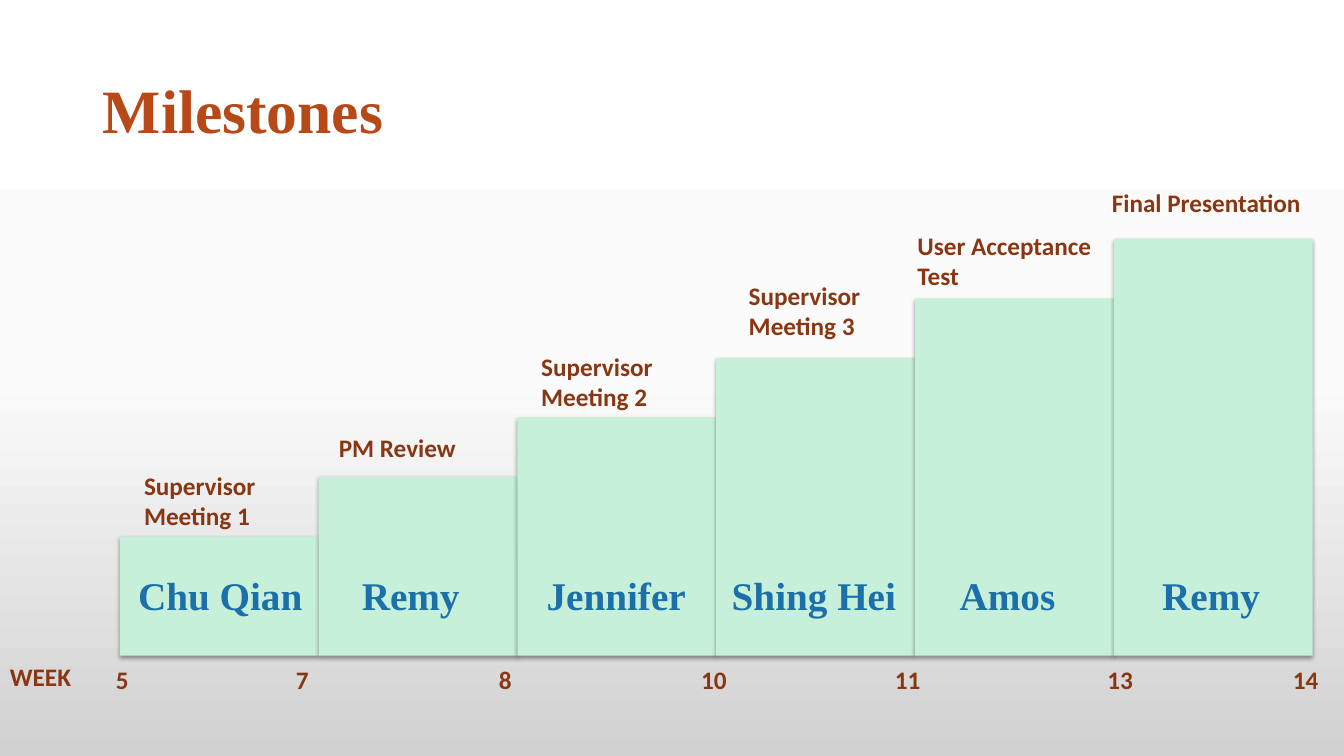
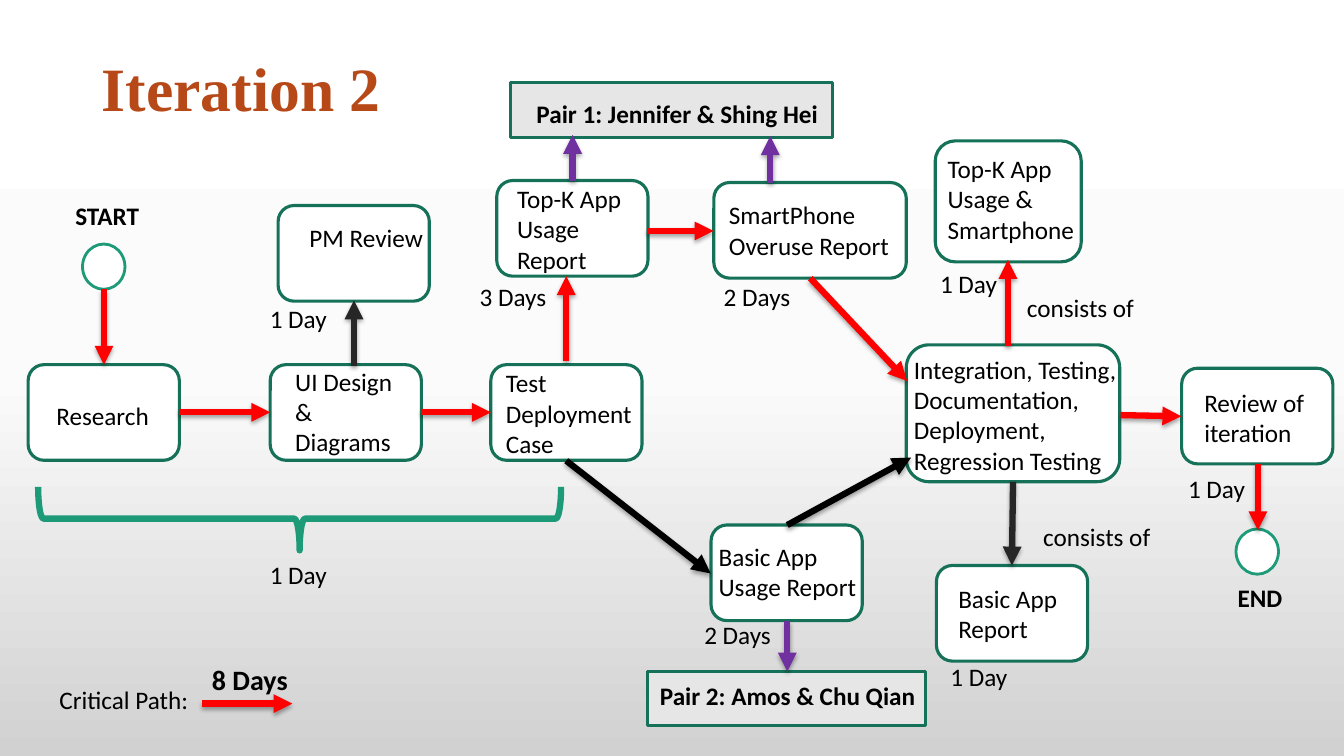
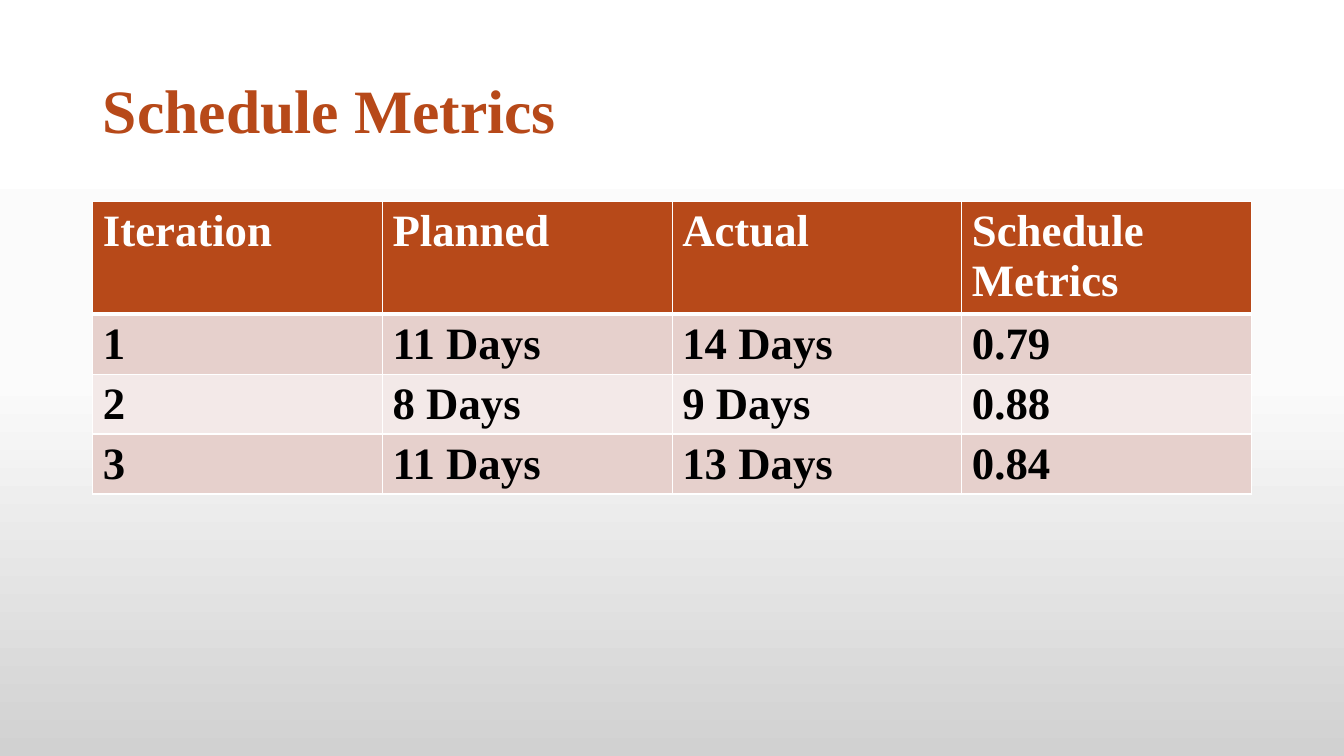
from copy import deepcopy

from lxml import etree
from pptx import Presentation
from pptx.dml.color import RGBColor
from pptx.enum.shapes import MSO_CONNECTOR, MSO_SHAPE
from pptx.enum.text import MSO_ANCHOR, PP_ALIGN
from pptx.oxml.ns import qn
from pptx.util import Cm, Pt

RECT, ROUNDED = MSO_SHAPE.RECTANGLE, MSO_SHAPE.ROUNDED_RECTANGLE
OVAL, BRACE = MSO_SHAPE.OVAL, MSO_SHAPE.RIGHT_BRACE
STRAIGHT = MSO_CONNECTOR.STRAIGHT
LEFT, CENTER, MIDDLE = PP_ALIGN.LEFT, PP_ALIGN.CENTER, MSO_ANCHOR.MIDDLE

SANS, SERIF = "Calibri", "Times New Roman"
COLORS = {
    "title": "B74919", "label": "893713", "name": "1D6FA9", "bar": "C6F0DA",
    "white": "FFFFFF", "black": "000000", "dark": "262626", "red": "FF0000",
    "purple": "7030A0", "outline": "157259", "teal": "1D9A78", "pair": "E7E6E6",
    "odd row": "E6D0CC", "even row": "F3E9E8",
}
BACKGROUND = [(0, "FFFFFF"), (0.5, "FBFBFB"), (1, "D1D1D1")]

# Content; all lengths in cm
# Milestones: event, label left, top, width, lines, person, person's centre
MILESTONES = [
    ("Supervisor\nMeeting 1", 3.38, 11.73, 4.55, 2, "Chu Qian", 5.55),
    ("PM Review", 8.29, 10.77, 3.48, 1, "Remy", 10.35),
    ("Supervisor\nMeeting 2", 13.39, 8.73, 4.62, 2, "Jennifer", 15.53),
    ("Supervisor\nMeeting 3", 18.62, 6.93, 4.62, 2, "Shing Hei", 20.51),
    ("User Acceptance Test", 22.87, 5.67, 5.51, 2, "Amos", 25.39),
    ("Final Presentation", 27.77, 4.6, 5.51, 1, "Remy", 30.52),
]
WEEKS = [("5", 2.67), ("7", 7.21), ("8", 12.32), ("10", 17.42),
         ("11", 22.3), ("13", 27.66), ("14", 32.33)]

# Steps: box (left, top, width, height), text, text left, top, width, lines
STEP_W, STEP_H = 3.81, 2.41
STEPS = [
    ((0.71, 9.19, STEP_W, STEP_H), "Research", 1.17, 9.96, 2.92, 1),
    ((6.81, 9.19, STEP_W, STEP_H), "UI Design & Diagrams", 7.19, 9.1, 3.35, 3),
    ((12.37, 9.19, STEP_W, STEP_H), "Test Deployment Case", 12.5, 9.14, 4.22, 3),
    ((7.01, 5.18, STEP_W, STEP_H), "PM Review", 7.55, 5.47, 3.6, 1),
    ((12.52, 4.55, STEP_W, STEP_H), "Top-K App Usage Report", 12.78, 4.5, 3.51, 3),
    ((17.99, 4.6, 4.85, STEP_H), "SmartPhone Overuse Report", 18.12, 4.91, 4.6, 2),
    ((17.92, 13.23, STEP_W, STEP_H), "Basic App Usage Report", 17.86, 13.51, 4.22, 2),
    ((22.84, 8.69, 5.38, 3.45),
     "Integration, Testing, Documentation, Deployment, Regression Testing",
     22.78, 8.8, 5.69, 4),
    ((23.57, 3.55, 3.68, 3.05), "Top-K App Usage & Smartphone", 23.63, 3.74, 3.71, 3),
    ((23.6, 14.25, STEP_W, STEP_H), "Basic App Report", 23.9, 14.58, 3.51, 2),
    ((29.78, 9.28, STEP_W, STEP_H), "Review of iteration", 30.1, 9.64, 3.51, 2),
]
PAIRS = [
    ((12.86, 2.09, 8.13, 1.37), "Pair 1: Jennifer & Shing Hei", 13.27, 2.35, 7.87),
    ((16.32, 16.92, 7.01, 1.37), "Pair 2: Amos & Chu Qian", 16.38, 17.03, 7.42),
]
# Terminals: circle left, top, text, text left, top
TERMINALS = [(2.08, 6.15, "START", 1.65, 4.93), (31.15, 13.33, "END", 30.94, 14.55)]
NOTES = [
    ("1 Day", 6.55, 13.97), ("1 Day", 6.55, 7.51), ("3 Days", 11.84, 6.96),
    ("2 Days", 17.99, 6.96), ("2 Days", 17.5, 15.47), ("1 Day", 29.69, 11.79),
    ("1 Day", 23.44, 6.63), ("1 Day", 23.7, 16.54), ("consists of", 25.63, 7.24),
    ("consists of", 26.04, 13.02), ("Critical Path:", 1.25, 17.12),
]
# Arrows by colour: from x, y, to x, y
ARROWS = {
    "red": [
        (4.52, 10.39, 6.81, 10.39), (10.62, 10.39, 12.37, 10.39),
        (28.24, 10.46, 29.77, 10.49), (14.27, 9.09, 14.27, 6.96),
        (16.31, 5.82, 17.98, 5.82), (2.62, 7.29, 2.62, 9.19),
        (31.7, 11.68, 31.7, 13.36), (25.4, 8.71, 25.4, 6.55),
        (20.42, 7.01, 22.86, 9.6), (5.08, 17.73, 7.37, 17.73),
    ],
    "black": [(14.27, 11.61, 17.91, 14.45), (19.84, 13.23, 22.96, 11.53)],
    "dark": [(8.92, 9.22, 8.92, 7.57), (25.53, 12.14, 25.5, 14.25)],
    "purple": [(14.43, 4.55, 14.43, 3.4), (19.41, 4.6, 19.41, 3.43),
               (19.84, 15.65, 19.84, 16.92)],
}
METRICS = [
    ("Iteration", "Planned", "Actual", "Schedule Metrics"),
    ("1", "11 Days", "14 Days", "0.79"),
    ("2", "8 Days", "9 Days", "0.88"),
    ("3", "11 Days", "13 Days", "0.84"),
]


def rgb(name):
    return RGBColor.from_string(COLORS[name])


def set_font(paragraph, face, size, color, bold):
    font = paragraph.font
    font.name, font.size, font.bold = face, Pt(size), bold
    font.color.rgb = rgb(color)


def add_shadow(shape, alpha, distance):
    props = shape._element.spPr
    for old in props.findall(qn("a:effectLst")):
        props.remove(old)
    effects = etree.SubElement(props, qn("a:effectLst"))
    shadow = etree.SubElement(effects, qn("a:outerShdw"), blurRad="40000",
                              dist=str(distance), dir="5400000", rotWithShape="0")
    color = etree.SubElement(shadow, qn("a:srgbClr"), val=COLORS["black"])
    etree.SubElement(color, qn("a:alpha"), val=str(alpha * 1000))


def add_box(slide, kind, box, fill=None, line=None, weight=2.25):
    shape = slide.shapes.add_shape(kind, *map(Cm, box))
    shape.shadow.inherit = False
    if fill:
        shape.fill.solid()
        shape.fill.fore_color.rgb = rgb(fill)
    else:
        shape.fill.background()
    if line:
        shape.line.color.rgb = rgb(line)
        shape.line.width = Pt(weight)
    else:
        shape.line.fill.background()
    return shape


def add_text(slide, text, left, top, width, lines=1, face=SANS, size=18,
             color="black", bold=False, align=LEFT, wrap=True):
    height = 0.25 + lines * size * 0.043
    frame = slide.shapes.add_textbox(*map(Cm, (left, top, width, height))).text_frame
    frame.word_wrap = wrap
    frame.text = text
    for paragraph in frame.paragraphs:
        paragraph.alignment = align
        set_font(paragraph, face, size, color, bold)


def add_arrow(slide, ends, color):
    arrow = slide.shapes.add_connector(STRAIGHT, *map(Cm, ends))
    arrow.line.color.rgb = rgb(color)
    arrow.line.width = Pt(4.5)
    etree.SubElement(arrow.line._get_or_add_ln(), qn("a:tailEnd"), type="triangle")
    add_shadow(arrow, 35, 23000)


def add_slide(text, left=2.34, top=1.02):
    slide = deck.slides.add_slide(deck.slide_layouts[5])
    title = slide.shapes.title
    title.left, title.top, title.width, title.height = map(Cm, (left, top, 29.21, 3.68))
    title.text_frame.text = text
    title.text_frame.vertical_anchor = MIDDLE
    paragraph = title.text_frame.paragraphs[0]
    paragraph.alignment, paragraph.line_spacing = LEFT, 0.9
    set_font(paragraph, SERIF, 44, "title", True)
    return slide


def set_borders(cell, weights):
    props = cell._tc.get_or_add_tcPr()
    for place, (side, weight) in enumerate(weights.items()):
        line = etree.Element(qn("a:ln" + side), w=str(Pt(weight)))
        fill = etree.SubElement(line, qn("a:solidFill"))
        etree.SubElement(fill, qn("a:srgbClr"), val=COLORS["white"])
        props.insert(place, line)


# Presentation and shared background
deck = Presentation()
deck.slide_width, deck.slide_height = Cm(33.87), Cm(19.05)
backdrop = deck.slide_master.background.fill
backdrop.gradient()
backdrop.gradient_angle = 270
stop_list = next(deck.slide_master.element.iter(qn("a:gsLst")))
stop_list.insert(1, deepcopy(stop_list[0]))
for stop, (position, color) in zip(backdrop.gradient_stops, BACKGROUND):
    stop.position = position
    stop.color.rgb = RGBColor.from_string(color)

# Milestones: a staircase of bars on one baseline
milestones = add_slide("Milestones")
FIRST_LEFT, BAR_W, BASELINE, FIRST_H, RISE = 3.02, 5.01, 16.52, 3, 1.5
for i in range(len(MILESTONES)):
    height = FIRST_H + RISE * i
    bar = add_box(milestones, RECT,
                  (FIRST_LEFT + BAR_W * i, BASELINE - height, BAR_W, height), "bar")
    add_shadow(bar, 38, 20000)
for event, left, top, width, lines, person, center in MILESTONES:
    add_text(milestones, event, left, top, width, lines, color="label", bold=True)
    add_text(milestones, person, center - BAR_W / 2, 14.27, BAR_W, face=SERIF,
             size=28, color="name", bold=True, align=CENTER, wrap=False)
add_text(milestones, "WEEK", 0, 16.54, 2.46, color="label", bold=True)
for week, left in WEEKS:
    add_text(milestones, week, left, 16.61, 1.3, color="label", bold=True)

# Iteration 2: flow of steps, then arrows and notes
iteration = add_slide("Iteration 2", 2.31, 0.46)
for box, text, left, top, width, lines in STEPS:
    add_box(iteration, ROUNDED, box, "white", "outline")
    add_text(iteration, text, left, top, width, lines)
for box, text, left, top, width in PAIRS:
    add_box(iteration, RECT, box, "pair", "outline", 2)
    add_text(iteration, text, left, top, width, bold=True)
for circle_left, circle_top, text, left, top in TERMINALS:
    add_box(iteration, OVAL, (circle_left, circle_top, 1.07, 1.14), "white", "teal", 2)
    add_text(iteration, text, left, top, 2.5, bold=True)
for color, group in ARROWS.items():
    for ends in group:
        add_arrow(iteration, ends, color)
for text, left, top in NOTES:
    add_text(iteration, text, left, top, 2.74 if "Day" in text else 4)
add_text(iteration, "8 Days", 5.09, 16.58, 2.54, size=20, bold=True)
brace = add_box(iteration, BRACE, (6.75, 6.48, 1.6, 13.18), line="teal", weight=4.5)
brace.rotation = 90

# Schedule metrics table under a framed title
schedule = add_slide("Schedule Metrics")
frame_line = schedule.shapes.title.line
frame_line.color.rgb = rgb("white")
frame_line.width = Pt(0.75)
HEADER_H, ROW_H, COLUMN_W = 2.84, 1.5, 7.3
columns = len(METRICS[0])
table = schedule.shapes.add_table(
    len(METRICS), columns, Cm(2.34), Cm(5.08), Cm(COLUMN_W * columns),
    Cm(HEADER_H + ROW_H * (len(METRICS) - 1))).table
for column in table.columns:
    column.width = Cm(COLUMN_W)
for r, values in enumerate(METRICS):
    table.rows[r].height = Cm(ROW_H if r else HEADER_H)
    fill = "title" if r == 0 else "odd row" if r % 2 else "even row"
    for c, value in enumerate(values):
        cell = table.cell(r, c)
        cell.text = value
        set_font(cell.text_frame.paragraphs[0], SERIF, 32, "black" if r else "white", True)
        cell.fill.solid()
        cell.fill.fore_color.rgb = rgb(fill)
        set_borders(cell, {"L": 1, "R": 1, "T": 3 if r == 1 else 1, "B": 1 if r else 3})

deck.save("out.pptx")
